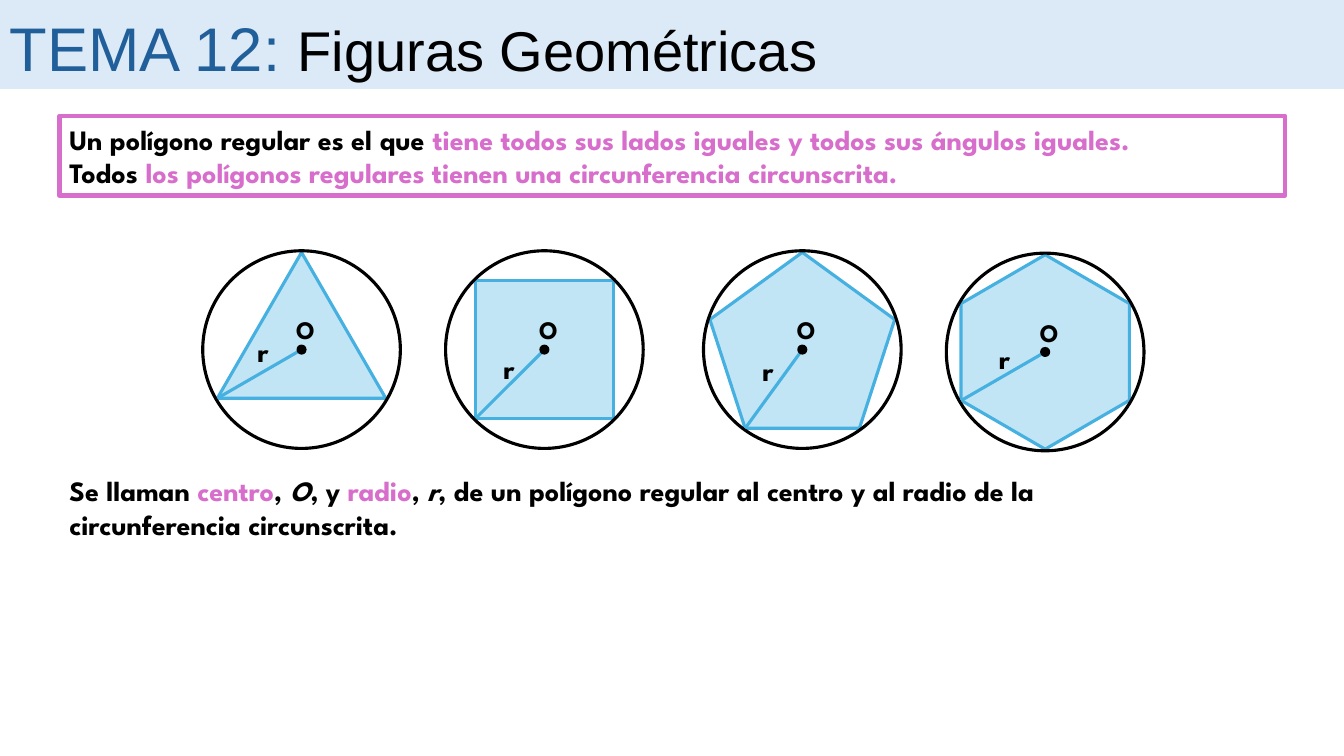
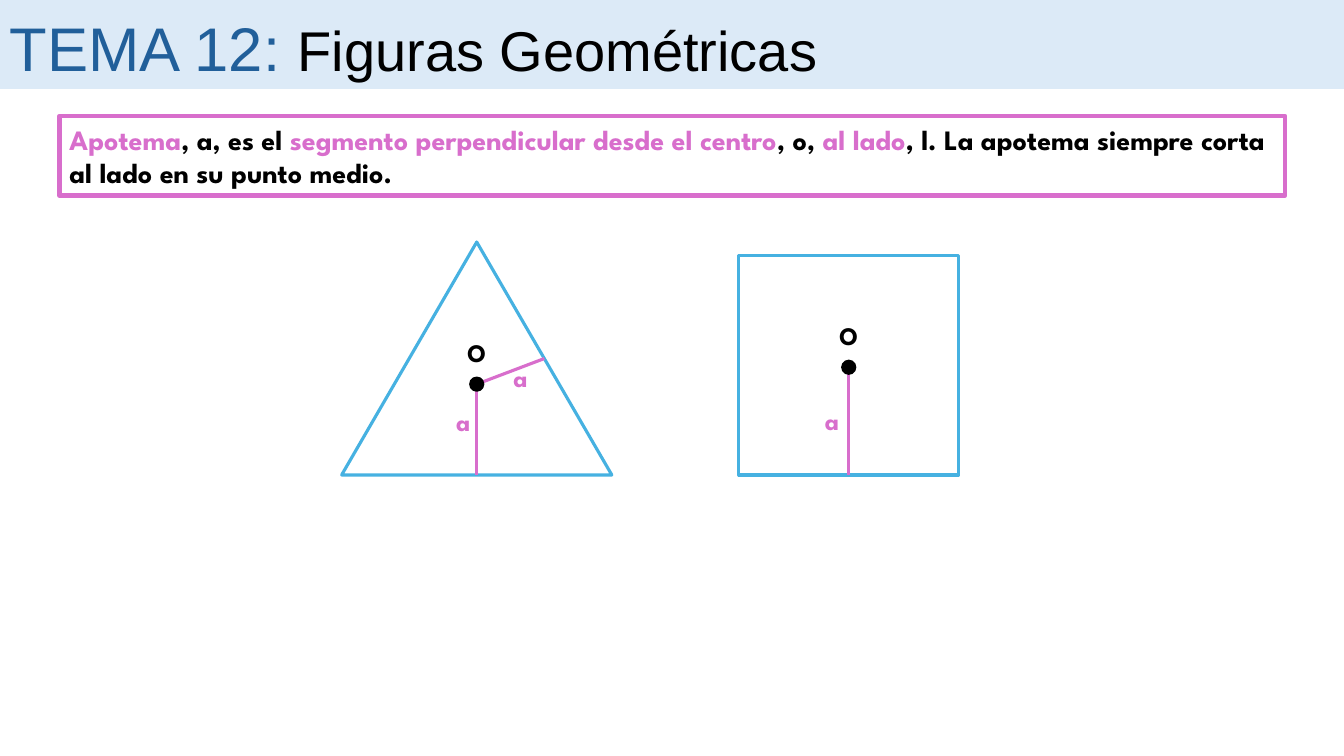
from dataclasses import dataclass
from math import cos, radians, sin

from lxml import etree
from pptx import Presentation
from pptx.dml.color import RGBColor
from pptx.enum.shapes import MSO_CONNECTOR, MSO_SHAPE
from pptx.enum.text import MSO_ANCHOR, MSO_AUTO_SIZE, PP_ALIGN
from pptx.oxml.ns import qn
from pptx.util import Cm, Pt

STRAIGHT = MSO_CONNECTOR.STRAIGHT
RECT, OVAL = MSO_SHAPE.RECTANGLE, MSO_SHAPE.OVAL
DOT = MSO_SHAPE.FLOWCHART_CONNECTOR
TRIANGLE = MSO_SHAPE.ISOSCELES_TRIANGLE
PENTAGON, HEXAGON = MSO_SHAPE.REGULAR_PENTAGON, MSO_SHAPE.HEXAGON
MIDDLE, NO_AUTOFIT = MSO_ANCHOR.MIDDLE, MSO_AUTO_SIZE.NONE
LEFT, CENTER = PP_ALIGN.LEFT, PP_ALIGN.CENTER
TITLE_ONLY = 5
BOTTOM_SITE = 2


@dataclass(frozen=True)
class Theme:
    """Colours, fonts and sizes in points shared by the slides."""
    band: str = "DCEAF7"
    topic: str = "215F9A"
    ink: str = "000000"
    accent: str = "D86ECC"
    edge: str = "46B1E1"
    area: str = "C1E5F5"
    title_font: str = "Arial"
    body_font: str = "League Spartan"
    topic_size: int = 44
    title_size: int = 40
    body_size: int = 20
    label_size: int = 18
    frame_line: float = 3
    figure_line: float = 2.25
    dot_line: float = 1.5


T = Theme()
TEXT_BOX = (1.5, 2.92, 30.89, 2.01)
NOTE_BOX = (1.5, 11.8, 30.89, 1.96)


def add_run(p, text, *, size=T.body_size, color=T.ink, font=T.body_font, bold=True, italic=False):
    """Append formatted text to a paragraph."""
    r = p.add_run()
    r.text = text
    r.font.size = Pt(size)
    r.font.name = font
    r.font.bold = bold
    r.font.italic = italic
    r.font.color.rgb = RGBColor.from_string(color)


def fill_text(tf, paragraphs, align=LEFT):
    """Write paragraphs given as lists of (text, format) runs."""
    tf.word_wrap = True
    tf.auto_size = NO_AUTOFIT
    tf.vertical_anchor = MIDDLE
    for i, runs in enumerate(paragraphs):
        p = tf.paragraphs[0] if i == 0 else tf.add_paragraph()
        p.alignment = align
        for text, style in runs:
            add_run(p, text, **style)


def add_shape(slide, kind, box, line, width, fill=None):
    """Add an outlined preset shape in a box given in centimetres."""
    sp = slide.shapes.add_shape(kind, *map(Cm, box))
    sp.shadow.inherit = False
    sp.line.color.rgb = RGBColor.from_string(line)
    sp.line.width = Pt(width)
    if fill:
        sp.fill.solid()
        sp.fill.fore_color.rgb = RGBColor.from_string(fill)
    else:
        sp.fill.background()
    return sp


def add_segment(slide, start, end, color):
    """Add a straight line between two points."""
    line = slide.shapes.add_connector(STRAIGHT, *map(Cm, (*start, *end)))
    line.line.color.rgb = RGBColor.from_string(color)
    line.line.width = Pt(T.figure_line)
    etree.SubElement(line._element.spPr, qn("a:effectLst"))
    return line


def add_label(slide, text, cx, cy, **style):
    """Add a short label centred on a point."""
    w, h = 1.2, 1.1
    tf = slide.shapes.add_textbox(Cm(cx - w / 2), Cm(cy - h / 2), Cm(w), Cm(h)).text_frame
    fill_text(tf, [[(text, style)]], CENTER)


def add_dot(slide, cx, cy, size):
    """Add a black dot centred on a point."""
    add_shape(slide, DOT, (cx - size / 2, cy - size / 2, size, size), T.ink, T.dot_line, T.ink)


def add_title(slide, topic, title):
    """Turn the title placeholder into the band across the top."""
    sp = slide.shapes.title
    sp.left, sp.top, sp.width, sp.height = map(Cm, (0, 0, 33.87, 2.24))
    sp.fill.solid()
    sp.fill.fore_color.rgb = RGBColor.from_string(T.band)
    tf = sp.text_frame
    tf.margin_top, tf.margin_bottom = Cm(0.23), Cm(0.13)
    tf.margin_left = tf.margin_right = Cm(0.25)
    style = {"font": T.title_font, "bold": False}
    fill_text(tf, [[(topic, {**style, "size": T.topic_size, "color": T.topic}),
                    (title, {**style, "size": T.title_size})]])


def add_definition(slide, box, paragraphs):
    """Add the framed definition."""
    fill_text(add_shape(slide, RECT, box, T.accent, T.frame_line).text_frame, paragraphs)


def add_note(slide, box, paragraphs):
    """Add unframed running text."""
    fill_text(slide.shapes.add_textbox(*map(Cm, box)).text_frame, paragraphs)


def add_inscribed(slide, x, y, kind, sides, corner, label_dx, label_dy):
    """Add a regular polygon in its circle, with the radius to its lower left corner."""
    diameter, radius = 4.98, 2.45
    cx, cy = x + diameter / 2, y + diameter / 2
    angles = [radians(corner + 360 * k / sides) for k in range(sides)]
    xs = [cx + radius * cos(a) for a in angles]
    ys = [cy + radius * sin(a) for a in angles]
    left, top = min(xs), min(ys)
    w, h = max(xs) - left, max(ys) - top
    if kind == HEXAGON:
        left, top, w, h = left + (w - h) / 2, top + (h - w) / 2, h, w
    polygon = add_shape(slide, kind, (left, top, w, h), T.edge, T.figure_line, T.area)
    if kind == HEXAGON:
        polygon.rotation = 90
        polygon.adjustments[0] = 0.29
    add_shape(slide, OVAL, (x, y, diameter, diameter), T.ink, T.figure_line)
    add_segment(slide, (cx, cy), (xs[0], ys[0]), T.edge)
    add_label(slide, "O", cx + 0.1, cy - 0.5, size=T.label_size)
    add_label(slide, "r", cx + label_dx, cy + label_dy)
    add_dot(slide, cx, cy, 0.2)


def add_apothem(slide, kind, box, center_ratio, labels):
    """Add a polygon with its centre and apothems."""
    x, y, w, h = box
    cx, cy = x + w / 2, y + h * center_ratio
    polygon = add_shape(slide, kind, box, T.edge, T.figure_line)
    line = add_segment(slide, (cx, y + h), (cx, cy), T.accent)
    if kind == RECT:
        line.begin_connect(polygon, BOTTOM_SITE)
    else:
        add_segment(slide, (cx, cy), (x + 0.75 * w, y + h / 2), T.accent)
    add_label(slide, "O", cx, cy - 0.8, size=T.label_size)
    add_dot(slide, cx, cy, 0.33)
    for dx, dy in labels:
        add_label(slide, "a", cx + dx, cy + dy, size=T.label_size, color=T.accent)


def new_slide(prs):
    """Add a slide with the shared title band."""
    slide = prs.slides.add_slide(prs.slide_layouts[TITLE_ONLY])
    add_title(slide, "TEMA 12: ", "Figuras Geométricas")
    return slide


def build_regular_polygons(prs):
    """Build the slide on regular polygons and their circles."""
    slide = new_slide(prs)
    key, italic = {"color": T.accent}, {"italic": True}
    add_definition(slide, TEXT_BOX, [
        [("Un polígono regular es el que ", {}),
         ("tiene todos sus lados iguales y todos sus ángulos iguales.", key)],
        [("Todos ", {}),
         ("los polígonos regulares tienen una circunferencia circunscrita.", key)]])
    for figure in (
            (5.11, 6.32, TRIANGLE, 3, 150, -0.97, 0.03),
            (11.23, 6.32, RECT, 4, 135, -0.89, 0.46),
            (17.73, 6.32, PENTAGON, 5, 126, -0.86, 0.53),
            (23.85, 6.38, HEXAGON, 6, 150, -1.02, 0.15)):
        add_inscribed(slide, *figure)
    add_note(slide, NOTE_BOX, [
        [("Se llaman ", {}), ("centro", key), (", ", {}), ("O", italic), (", y ", {}),
         ("radio", key), (", ", {}), ("r", italic),
         (", de un polígono regular al centro y al radio de la", {})],
        [("circunferencia circunscrita.", {})]])


def build_apothem(prs):
    """Build the slide on the apothem."""
    slide = new_slide(prs)
    key = {"color": T.accent}
    add_definition(slide, TEXT_BOX, [
        [("Apotema", key), (", a, es el ", {}),
         ("segmento perpendicular desde el centro", key), (", o, ", {}), ("al lado", key),
         (", l. La apotema siempre corta al lado en su punto medio.", {})]])
    add_apothem(slide, TRIANGLE, (8.61, 6.1, 6.81, 5.87), 0.61, [(1.1, -0.17), (-0.34, 0.95)])
    add_apothem(slide, RECT, (18.62, 6.43, 5.54, 5.54), 0.51, [(-0.42, 1.33)])


def main():
    """Build and save the presentation."""
    prs = Presentation()
    prs.slide_width, prs.slide_height = Cm(33.87), Cm(19.05)
    build_regular_polygons(prs)
    build_apothem(prs)
    prs.save("out.pptx")


if __name__ == "__main__":
    main()
